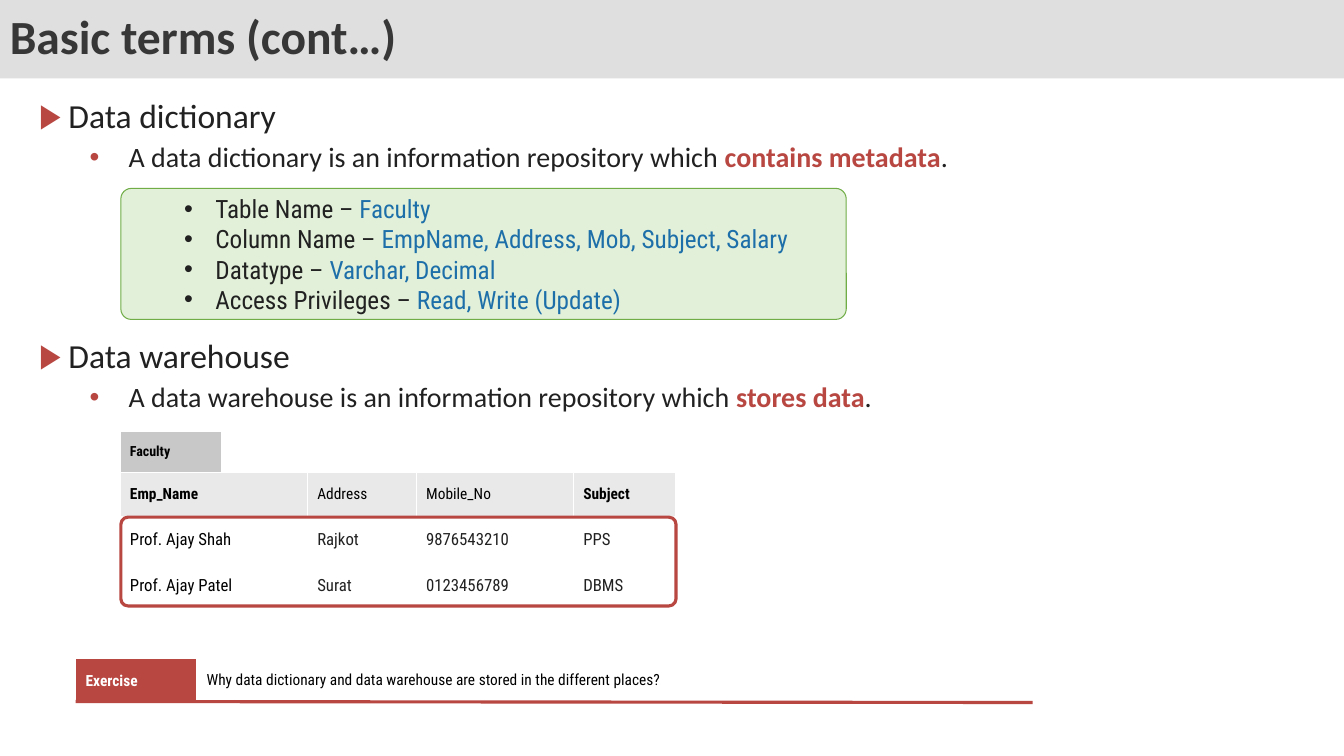
"""Build the "Basic terms (cont…)" slide on data dictionary and data warehouse."""
import lxml.etree
import pptx
import pptx.dml.color
import pptx.enum.shapes
import pptx.enum.text
import pptx.oxml
import pptx.oxml.ns
import pptx.util

Pt = pptx.util.Pt
SHAPES = pptx.enum.shapes.MSO_SHAPE
MIDDLE = pptx.enum.text.MSO_ANCHOR.MIDDLE
LEFT = pptx.enum.text.PP_ALIGN.LEFT
JUSTIFY = pptx.enum.text.PP_ALIGN.JUSTIFY
RED, DARK, BLUE, BLACK, WHITE = "B84742", "212121", "1D6FA9", "000000", "FFFFFF"
NO_STYLE = "{2D5ABB26-0587-4C30-8999-92F81FD0307C}"


def color(value):
    return pptx.dml.color.RGBColor.from_string(value)


def write(paragraph, *runs, font="Roboto Condensed", size=18, align=LEFT, level=0,
          bullet=None, bullet_color=RED, indent=0, hanging=0, before=0, spacing=1.0):
    """Each run is (text, colour, bold)."""
    paragraph.alignment = align
    paragraph.level = level
    paragraph.space_before = Pt(before)
    paragraph.line_spacing = spacing
    if bullet:
        properties = paragraph._p.get_or_add_pPr()
        properties.set("marL", str(Pt(indent)))
        properties.set("indent", str(-Pt(hanging)))
        bullet_fill = lxml.etree.SubElement(properties, pptx.oxml.ns.qn("a:buClr"))
        lxml.etree.SubElement(bullet_fill, pptx.oxml.ns.qn("a:srgbClr"), val=bullet_color)
        lxml.etree.SubElement(properties, pptx.oxml.ns.qn("a:buFont"), typeface="Arial")
        lxml.etree.SubElement(properties, pptx.oxml.ns.qn("a:buChar"), char=bullet)
    for text, text_color, bold in runs:
        run = paragraph.add_run()
        run.text = text
        run.font.name = font
        run.font.size = Pt(size)
        run.font.bold = bold
        run.font.color.rgb = color(text_color)


presentation = pptx.Presentation()
presentation.slide_width = Pt(960.5)
presentation.slide_height = Pt(540)
slide = presentation.slides.add_slide(presentation.slide_layouts[6])

title = slide.shapes.add_shape(SHAPES.RECTANGLE, 0, 0, Pt(960.5), Pt(56))
title.shadow.inherit = False
title.fill.solid()
title.fill.fore_color.rgb = color("DFDFDF")
title.line.fill.background()
title.text_frame.vertical_anchor = MIDDLE
write(title.text_frame.paragraphs[0], ("Basic terms (cont…)", "373737", True),
      font="Calibri", size=34, spacing=0.9)

body = slide.shapes.add_textbox(Pt(20.9), Pt(67.7), Pt(939.6), Pt(440)).text_frame
body.word_wrap = True
terms = [
    ("Data dictionary", "A data dictionary is an information repository which ",
     "contains metadata", 10),
    ("Data warehouse", "A data warehouse is an information repository which ",
     "stores data", 119),
]
for index, (term, meaning, key_words, before) in enumerate(terms):
    heading = body.add_paragraph() if index else body.paragraphs[0]
    write(heading, (term, DARK, False), font="Calibri", size=24, align=JUSTIFY,
          bullet="▶", indent=20.9, hanging=20.9, before=before, spacing=0.9)
    write(body.add_paragraph(), (meaning, DARK, False), (key_words, RED, True),
          (".", DARK, False), font="Calibri", size=20, align=JUSTIFY, level=1,
          bullet="•", indent=64, hanging=28, before=5, spacing=0.9)

metadata_box = slide.shapes.add_shape(
    SHAPES.ROUNDED_RECTANGLE, Pt(86.4), Pt(134.6), Pt(518.4), Pt(93.6))
metadata_box.shadow.inherit = False
metadata_box.adjustments[0] = 0.08
metadata_box.fill.solid()
metadata_box.fill.fore_color.rgb = color("E2F0D9")
metadata_box.line.color.rgb = color("70AD47")
metadata_box.line.width = Pt(0.75)
metadata_box.text_frame.vertical_anchor = MIDDLE
metadata_box.text_frame.word_wrap = True
metadata = [
    ("Table Name", "Faculty"),
    ("Column Name", "EmpName, Address, Mob, Subject, Salary"),
    ("Datatype", "Varchar, Decimal"),
    ("Access Privileges", "Read, Write (Update)"),
]
for index, (label, value) in enumerate(metadata):
    frame = metadata_box.text_frame
    write(frame.add_paragraph() if index else frame.paragraphs[0],
          (f"{label} – ", DARK, False), (value, BLUE, False), level=1,
          bullet="•", bullet_color=DARK, indent=58.3, hanging=22.3)

header = ("E9E9E9", 11, [("Emp_Name", BLACK, True), ("Address", BLACK, False),
                         ("Mobile_No", BLACK, False), ("Subject", BLACK, True)])
professors = [("Prof. Ajay Shah", "Rajkot", "9876543210", "PPS"),
              ("Prof. Ajay Patel", "Surat", "0123456789", "DBMS")]
faculty_rows = [header] + [
    (WHITE, 12, [(text, DARK if column else BLACK, False)
                 for column, text in enumerate(professor)])
    for professor in professors]
question = "Why data dictionary and data warehouse are stored in the different places?"
tables = [
    (85.7, 337, [133.9, 77.8, 112.3, 72.7], [31.7, 33, 33], True, faculty_rows),
    (85.7, 308.2, [72], [28.8], True, [("C8C8C8", 10, [("Faculty", BLACK, True)])]),
    (54, 470.9, [86.4], [31], False, [(RED, 11, [("Exercise", WHITE, True)])]),
    (140.4, 470.2, [609.1], [31], False, [(None, 11, [(question, BLACK, False)])]),
]
for left, top, widths, heights, bordered, rows in tables:
    table = slide.shapes.add_table(len(heights), len(widths), Pt(left), Pt(top),
                                   Pt(sum(widths)), Pt(sum(heights))).table
    table.first_row = False
    table.horz_banding = False
    table._tbl.tblPr.find(pptx.oxml.ns.qn("a:tableStyleId")).text = NO_STYLE
    for column, width in enumerate(widths):
        table.columns[column].width = Pt(width)
    for row, (fill, size, runs) in enumerate(rows):
        table.rows[row].height = Pt(heights[row])
        for column, run in enumerate(runs):
            cell = table.cell(row, column)
            cell.vertical_anchor = MIDDLE
            write(cell.text_frame.paragraphs[0], run, size=size)
            if fill:
                cell.fill.solid()
                cell.fill.fore_color.rgb = color(fill)
            else:
                cell.fill.background()
            if bordered:
                for position, side in enumerate(("lnL", "lnR", "lnT", "lnB")):
                    border = pptx.oxml.parse_xml(
                        f'<a:{side} {pptx.oxml.ns.nsdecls("a")} w="{Pt(0.23)}"><a:solidFill>'
                        f'<a:srgbClr val="{WHITE}"/></a:solidFill></a:{side}>')
                    cell._tc.get_or_add_tcPr().insert(position, border)

data_frame = slide.shapes.add_shape(
    SHAPES.ROUNDED_RECTANGLE, Pt(86.4), Pt(369.4), Pt(396.7), Pt(63.4))
data_frame.shadow.inherit = False
data_frame.adjustments[0] = 0.08
data_frame.fill.background()

exercise_line = slide.shapes.add_connector(
    pptx.enum.shapes.MSO_CONNECTOR.STRAIGHT, Pt(54), Pt(501.1), Pt(738), Pt(501.8))
lxml.etree.SubElement(exercise_line._element.spPr, pptx.oxml.ns.qn("a:effectLst"))
for outlined in (data_frame, exercise_line):
    outlined.line.color.rgb = color(RED)
    outlined.line.width = Pt(2.25)
effects = exercise_line._element.spPr.find(pptx.oxml.ns.qn("a:effectLst"))
exercise_line._element.spPr.append(effects)

presentation.save("out.pptx")
